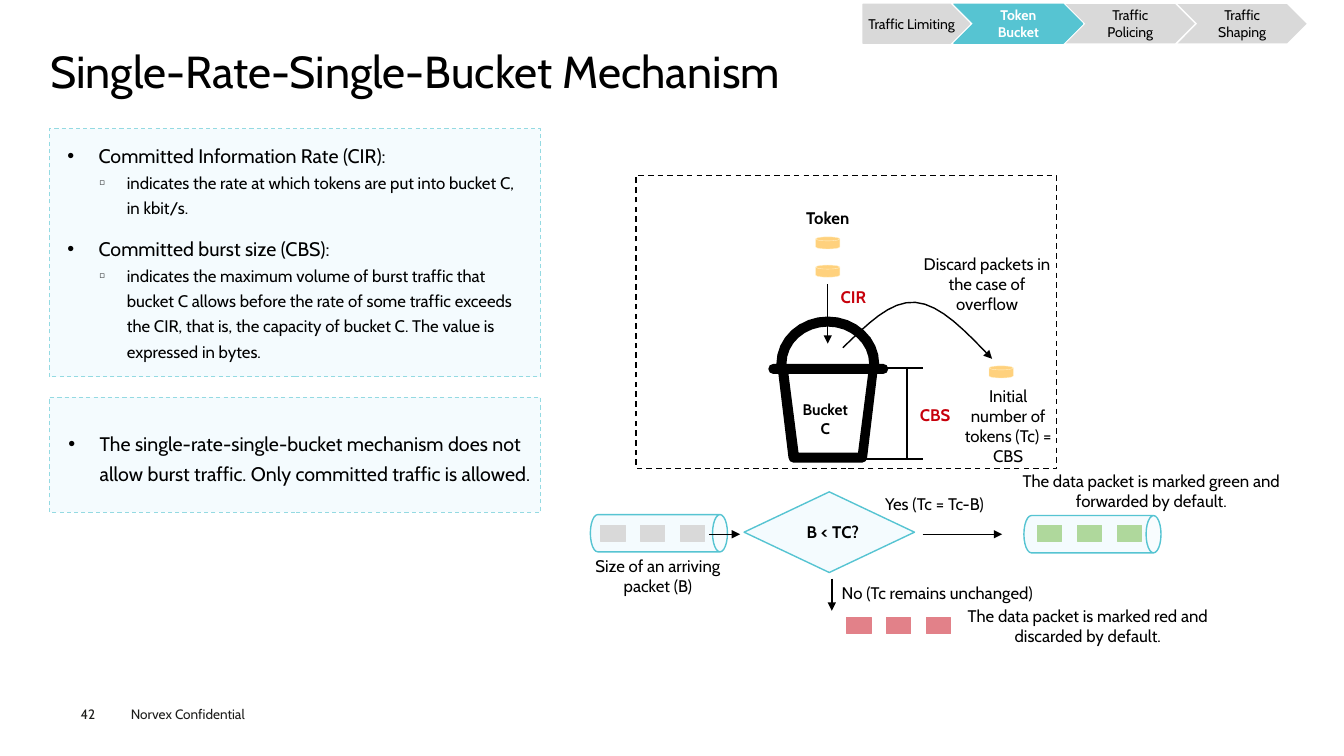
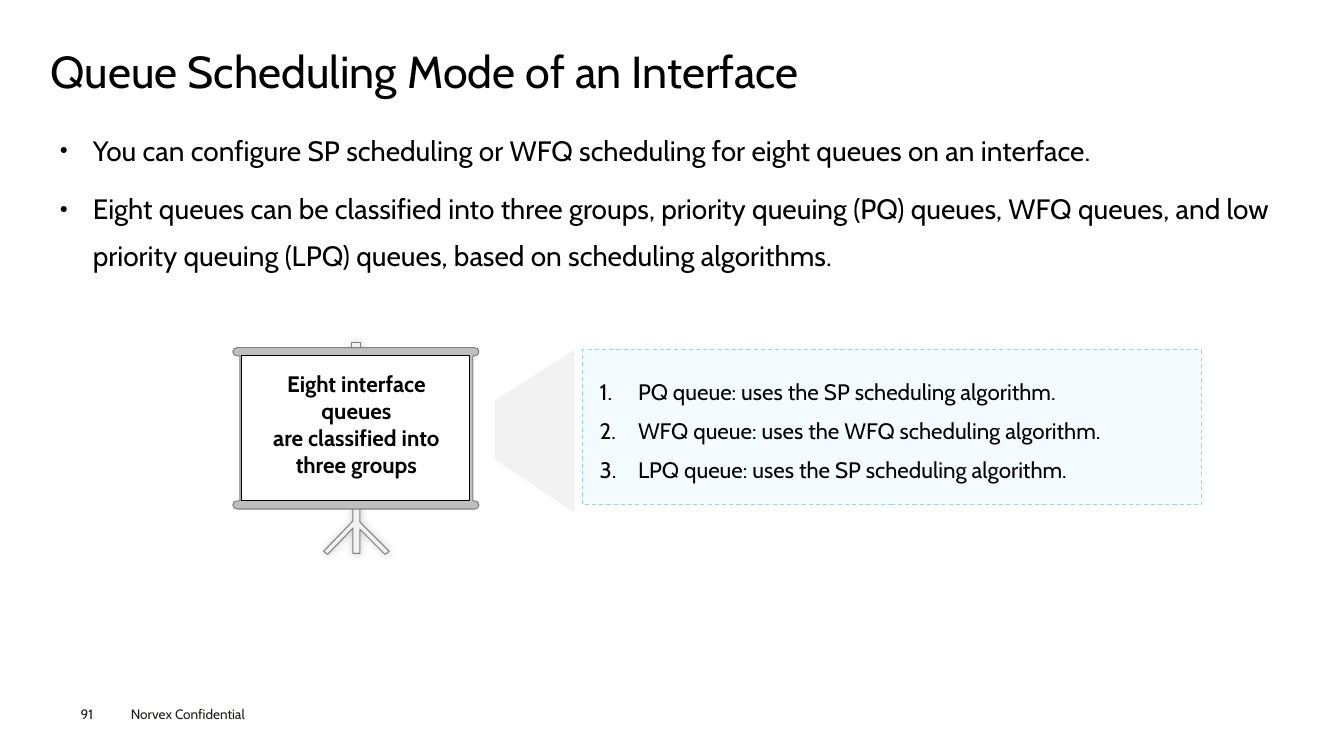
import math
from dataclasses import dataclass

import pptx
import pptx.dml.color
import pptx.enum.dml
import pptx.enum.shapes
import pptx.enum.text
import pptx.oxml
import pptx.oxml.ns
import pptx.util

Inches = pptx.util.Inches
Pt = pptx.util.Pt
RGBColor = pptx.dml.color.RGBColor
Align = pptx.enum.text.PP_ALIGN
Anchor = pptx.enum.text.MSO_ANCHOR
Kind = pptx.enum.shapes.MSO_SHAPE
qn = pptx.oxml.ns.qn

FONT = "Cabin"
BULLET_FONT = "Arial"
BLACK = RGBColor(0x00, 0x00, 0x00)
WHITE = RGBColor(0xFF, 0xFF, 0xFF)
INK = RGBColor(0x1D, 0x1D, 0x1B)
RED = RGBColor(0xC7, 0x00, 0x0B)
TEAL = RGBColor(0x56, 0xC4, 0xD2)
PALE = RGBColor(0xF4, 0xFB, 0xFE)
PANEL_EDGE = RGBColor(0x94, 0xDA, 0xE2)
GRAY = RGBColor(0xD9, 0xD9, 0xD9)
GREEN = RGBColor(0xAF, 0xD8, 0x9C)
PINK = RGBColor(0xE2, 0x81, 0x89)
GOLD = RGBColor(0xFF, 0xD1, 0x7D)
CREAM = RGBColor(0xFF, 0xF2, 0xCC)
LIGHT = RGBColor(0xF2, 0xF2, 0xF2)
FRAME = RGBColor(0xBF, 0xBF, 0xBF)
OUTLINE = RGBColor(0x80, 0x80, 0x80)

DEFAULT_INSETS = (0.1, 0.05, 0.1, 0.05)
NO_INSETS = (0, 0, 0, 0)

Point = tuple[float, float]
Area = tuple[float, float, float, float]


@dataclass(frozen=True)
class Style:
    size: float = 12
    color: RGBColor = BLACK
    bold: bool = False
    align: Align = Align.CENTER
    anchor: Anchor = Anchor.MIDDLE
    insets: Area = DEFAULT_INSETS
    wrap: bool = True
    spacing: float = 1.0


@dataclass(frozen=True)
class Label:
    text: str
    area: Area
    style: Style = Style()


@dataclass(frozen=True)
class Bullet:
    mark: str
    left: float
    hang: float
    size: float
    spacing: float = 1.25
    percent: int = 100
    before: float = 0
    after: float = 0


@dataclass(frozen=True)
class Step:
    text: str
    left: float
    width: float
    kind: Kind = Kind.CHEVRON
    active: bool = False
    insets: Area = DEFAULT_INSETS


@dataclass(frozen=True)
class Arrow:
    start: Point
    end: Point
    width: float = 1
    head: bool = True


LOOSE_LEFT = Style(wrap=False, align=Align.LEFT)
BOLD = Style(bold=True, wrap=False)
BOLD_RED = Style(bold=True, wrap=False, color=RED)
TITLE = Style(size=32, align=Align.LEFT, anchor=Anchor.TOP, insets=NO_INSETS, spacing=0.9)
FOOTER = Style(size=9.7, color=INK, align=Align.LEFT, anchor=Anchor.TOP)
NUMBER = Style(size=9.7, color=INK, align=Align.LEFT, anchor=Anchor.TOP, insets=NO_INSETS)

TOPIC = Bullet("•", 0.31, 0.31, 14)
DETAIL = Bullet("◻", 0.59, 0.27, 12, percent=50)
BODY = Bullet("●", 0.33, 0.33, 20, spacing=1.4, percent=50, before=7.9)
NUMBERED = Bullet("", 0.38, 0.38, 16, before=2, after=2)

STEPS = [
    Step("Traffic Limiting", 8.56, 1.06, Kind.PENTAGON, insets=(0.04, 0, 0.04, 0)),
    Step("Token Bucket", 9.46, 1.28, active=True),
    Step("Traffic Policing", 10.57, 1.28),
    Step("Traffic Shaping", 11.68, 1.28),
]

BUCKET_LABELS = [
    Label("B < TC?", (7.82, 5.11, 0.88, 0.33), BOLD),
    Label("Size of an arriving packet (B)", (5.65, 5.46, 1.75, 0.5)),
    Label("Yes (Tc = Tc-B)", (8.68, 4.83, 1.78, 0.33), LOOSE_LEFT),
    Label("No (Tc remains unchanged)", (8.25, 5.72, 2.7, 0.33), LOOSE_LEFT),
    Label("Token", (7.82, 2, 0.78, 0.33), BOLD),
    Label("CIR", (8.21, 2.78, 0.51, 0.33), BOLD_RED),
    Label("CBS", (9, 3.95, 0.55, 0.33), BOLD_RED),
    Label("Bucket C", (7.81, 3.99, 0.75, 0.33), Style(size=11, bold=True)),
    Label("Initial number of tokens (Tc) = CBS", (9.42, 4.06, 1.16, 0.33)),
    Label("Discard packets in the case of overflow", (9.05, 2.65, 1.48, 0.33)),
    Label("The data packet is marked red and discarded by default.", (9.44, 5.96, 2.7, 0.5)),
    Label("The data packet is marked green and forwarded by default.", (10.03, 4.62, 2.78, 0.5)),
]

ARROWS = [
    Arrow((7.03, 5.3), (7.34, 5.3)),
    Arrow((9.15, 5.3), (9.94, 5.3)),
    Arrow((8.25, 5.74), (8.25, 6.06)),
    Arrow((8.21, 2.82), (8.21, 3.41)),
    Arrow((9, 4.55), (9, 3.65), 1.5, False),
    Arrow((8.56, 4.55), (9.15, 4.55), 1.5, False),
    Arrow((8.56, 3.65), (9.15, 3.65), 1.5, False),
]


def lengths(values: tuple[float, ...]) -> list[int]:
    return [Inches(value) for value in values]


def child(parent, tag: str, **attributes: str):
    element = parent.makeelement(qn(tag), attributes)
    parent.append(element)
    return element


def paint(shape, fill=None, edge=None, width: float = 0.75, dashed: bool = False) -> None:
    shape.shadow.inherit = False
    if fill is None:
        shape.fill.background()
    else:
        shape.fill.solid()
        shape.fill.fore_color.rgb = fill
    if edge is None:
        shape.line.fill.background()
        return
    shape.line.color.rgb = edge
    shape.line.width = Pt(width)
    if dashed:
        shape.line.dash_style = pptx.enum.dml.MSO_LINE.DASH


def add_shape(page, kind: Kind, area: Area, fill=None, edge=None, width: float = 0.75, dashed: bool = False):
    shape = page.shapes.add_shape(kind, *lengths(area))
    paint(shape, fill, edge, width, dashed)
    return shape


def format_spans(para, size: float, color: RGBColor, bold: bool = False) -> None:
    for span in para.runs:
        span.font.name = FONT
        span.font.size = Pt(size)
        span.font.bold = bold
        span.font.color.rgb = color


def set_frame(frame, anchor: Anchor, insets: Area, wrap: bool = True) -> None:
    frame.word_wrap = wrap
    frame.vertical_anchor = anchor
    frame.margin_left, frame.margin_top, frame.margin_right, frame.margin_bottom = lengths(insets)


def write(box, text: str, style: Style) -> None:
    frame = box.text_frame
    frame.text = text
    set_frame(frame, style.anchor, style.insets, style.wrap)
    for para in frame.paragraphs:
        para.alignment = style.align
        para.line_spacing = style.spacing
        format_spans(para, style.size, style.color, style.bold)


def add_label(page, label: Label) -> None:
    write(page.shapes.add_textbox(*lengths(label.area)), label.text, label.style)


def add_bullets(page, area: Area, items: list[tuple[str, Bullet]],
                anchor: Anchor = Anchor.MIDDLE, insets: Area = DEFAULT_INSETS) -> None:
    frame = page.shapes.add_textbox(*lengths(area)).text_frame
    frame.text = "\n".join(text for text, _ in items)
    set_frame(frame, anchor, insets)
    for index, (para, (_, bullet)) in enumerate(zip(frame.paragraphs, items)):
        properties = para._p.get_or_add_pPr()
        properties.set("marL", str(Inches(bullet.left)))
        properties.set("indent", str(-Inches(bullet.hang)))
        child(properties, "a:buSzPct", val=str(bullet.percent * 1000))
        if bullet.mark:
            child(properties, "a:buFont", typeface=BULLET_FONT)
            child(properties, "a:buChar", char=bullet.mark)
        else:
            child(properties, "a:buAutoNum", type="arabicPeriod")
        para.line_spacing = bullet.spacing
        para.space_before = Pt(bullet.before if index else 0)
        para.space_after = Pt(bullet.after)
        format_spans(para, bullet.size, BLACK)


def arc(center: Point, radii: Point, start: int, end: int, count: int = 4) -> list[Point]:
    angles = [math.radians(start + (end - start) * step / count) for step in range(count + 1)]
    return [(center[0] + radii[0] * math.cos(a), center[1] + radii[1] * math.sin(a)) for a in angles]


def curve(a: Point, b: Point, c: Point, d: Point, count: int = 8) -> list[Point]:
    times = [step / count for step in range(count + 1)]
    return [tuple((1 - t) ** 3 * a[k] + 3 * t * (1 - t) ** 2 * b[k] + 3 * t * t * (1 - t) * c[k] + t ** 3 * d[k]
                  for k in (0, 1)) for t in times]


def add_outline(page, contours: list[list[Point]], fill=None, edge=None, width: float = 0.75, close: bool = True):
    first, *others = [[lengths(point) for point in contour] for contour in contours]
    builder = page.shapes.build_freeform(*first[0])
    builder.add_line_segments(first[1:], close=close)
    for contour in others:
        builder.move_to(*contour[0])
        builder.add_line_segments(contour[1:], close=close)
    shape = builder.convert_to_shape()
    paint(shape, fill, edge, width)
    return shape


def add_head(shape) -> None:
    child(shape.element.spPr.find(qn("a:ln")), "a:tailEnd", type="triangle")


def add_arrow(page, arrow: Arrow) -> None:
    line = page.shapes.add_connector(
        pptx.enum.shapes.MSO_CONNECTOR.STRAIGHT, *lengths(arrow.start + arrow.end))
    line.line.color.rgb = BLACK
    line.line.width = Pt(arrow.width)
    if arrow.head:
        add_head(line)
    child(line.element.spPr, "a:effectLst")


def add_panel(page, area: Area) -> None:
    add_shape(page, Kind.RECTANGLE, area, PALE, PANEL_EDGE, dashed=True)


def add_packets(page, left: float, top: float, color: RGBColor) -> None:
    for index in range(3):
        add_shape(page, Kind.RECTANGLE, (left + 0.395 * index, top, 0.24, 0.16), color, color)


def add_step(page, step: Step) -> None:
    fill = TEAL if step.active else GRAY
    edge = fill if step.active or step.kind == Kind.PENTAGON else None
    shape = add_shape(page, step.kind, (step.left, 0.04, step.width, 0.39), fill, edge)
    color = WHITE if step.active else BLACK
    write(shape, step.text, Style(size=10, color=color, bold=step.active, insets=step.insets))


def add_page(deck, title: str, number: str):
    page = deck.slides.add_slide(deck.slide_layouts[6])
    add_label(page, Label("Norvex Confidential", (1.2, 6.95, 1.6, 0.27), FOOTER))
    add_label(page, Label(number, (0.8, 7, 0.55, 0.16), NUMBER))
    add_label(page, Label(title, (0.5, 0.49, 12.33, 0.53), TITLE))
    return page


def draw_bucket(page) -> None:
    rim, dome = (0.05, 0.05), (8.21, 3.61)
    shell = (arc(dome, (0.51, 0.47), 360, 180, 16) + arc((7.67, 3.66), rim, 270, 90)
             + [(7.72, 3.71)] + arc((7.87, 4.54), rim, 180, 90, 2) + arc((8.55, 4.54), rim, 90, 0, 2)
             + [(8.7, 3.71)] + arc((8.76, 3.66), rim, 90, -90))
    cup = [(8.51, 4.49), (7.92, 4.49), (7.82, 3.71), (8.61, 3.71)]
    add_outline(page, [shell, cup, arc(dome, (0.41, 0.37), 180, 360, 16)], BLACK)


def build_bucket_page(deck) -> None:
    page = add_page(deck, "Single-Rate-Single-Bucket Mechanism", "42")
    for left, top in ((10.65, 4.62), (6.35, 4.61)):
        pipe = add_shape(page, Kind.CAN, (left, top, 0.37, 1.36), PALE, TEAL, 1)
        pipe.adjustments[0] = 0.4
        pipe.rotation = 90
    add_shape(page, Kind.FLOWCHART_DECISION, (7.38, 4.88, 1.69, 0.8), PALE, TEAL, 1)
    for left, top, color in ((5.96, 5.21, GRAY), (10.29, 5.21, GREEN), (8.4, 6.13, PINK)):
        add_packets(page, left, top, color)
    draw_bucket(page)
    for arrow in ARROWS:
        add_arrow(page, arrow)
    overflow = (curve((8.36, 3.45), (8.6, 3.22), (8.83, 2.98), (9.08, 3))
                + curve((9.08, 3), (9.33, 3.02), (9.58, 3.29), (9.84, 3.56))[1:])
    add_head(add_outline(page, [overflow], edge=BLACK, width=1, close=False))
    for label in BUCKET_LABELS:
        add_label(page, label)
    add_panel(page, (0.49, 1.28, 4.87, 2.46))
    add_bullets(page, (0.57, 1.32, 4.68, 0.9), [
        ("Committed Information Rate (CIR):", TOPIC),
        ("indicates the rate at which tokens are put into bucket C, in kbit/s.", DETAIL)])
    add_bullets(page, (0.57, 2.24, 4.79, 1.4), [
        ("Committed burst size (CBS):", TOPIC),
        ("indicates the maximum volume of burst traffic that bucket C allows before the rate of some traffic "
         "exceeds the CIR, that is, the capacity of bucket C. The value is expressed in bytes.", DETAIL)])
    add_panel(page, (0.49, 3.94, 4.87, 1.14))
    add_bullets(page, (0.58, 4.03, 4.79, 0.98), [
        ("The single-rate-single-bucket mechanism does not allow burst traffic. "
         "Only committed traffic is allowed.", TOPIC)])
    for left, top in ((8.09, 2.63), (8.09, 2.35), (9.81, 3.63)):
        add_shape(page, Kind.FLOWCHART_MAGNETIC_DISK, (left, top, 0.24, 0.12), GOLD, CREAM, 0.25)
    add_shape(page, Kind.RECTANGLE, (6.31, 1.74, 4.17, 2.91), edge=BLACK, width=1, dashed=True)
    for step in STEPS:
        add_step(page, step)


def draw_screen(page) -> None:
    peg = [(3.49, 3.4), (3.58, 3.4), (3.58, 3.51), (3.49, 3.51)]
    legs = [(3.5, 4.87), (3.57, 4.87), (3.57, 5.18), (3.86, 5.47), (3.82, 5.5), (3.57, 5.25),
            (3.57, 5.49), (3.5, 5.49), (3.5, 5.24), (3.25, 5.5), (3.21, 5.47), (3.5, 5.17)]
    stand = add_outline(page, [peg, legs], LIGHT, OUTLINE)
    shadow = child(stand.element.spPr.find(qn("a:effectLst")), "a:outerShdw",
                   blurRad=str(Pt(6)), dist="0", dir="13500000", algn="br", rotWithShape="0")
    child(child(shadow, "a:srgbClr", val=str(BLACK)), "a:alpha", val="20000")
    cap = (0.04, 0.04)
    frame = (arc((4.71, 3.49), cap, -90, 90) + [(4.69, 3.53), (4.69, 4.97)]
             + arc((4.71, 5.01), cap, -90, 90) + arc((2.35, 5.01), cap, 90, 270)
             + [(2.38, 4.97), (2.38, 3.53)] + arc((2.35, 3.49), cap, 90, 270))
    add_outline(page, [frame], FRAME, OUTLINE)
    add_shape(page, Kind.RECTANGLE, (2.4, 3.53, 2.26, 1.44), WHITE, BLACK)


def build_queue_page(deck) -> None:
    page = add_page(deck, "Queue Scheduling Mode of an Interface", "91")
    add_bullets(page, (0.5, 1.15, 12.35, 5.33), [
        ("You can configure SP scheduling or WFQ scheduling for eight queues on an interface.", BODY),
        ("Eight queues can be classified into three groups, priority queuing (PQ) queues, WFQ queues, "
         "and low priority queuing (LPQ) queues, based on scheduling algorithms.", BODY),
    ], Anchor.TOP, (0.09, 0.04, 0.09, 0.04))
    add_panel(page, (5.78, 3.47, 6.14, 1.54))
    queues = (("PQ", "SP"), ("WFQ", "WFQ"), ("LPQ", "SP"))
    add_bullets(page, (5.85, 3.63, 5.76, 1.22), [
        (f"{queue} queue: uses the {mode} scheduling algorithm.", NUMBERED) for queue, mode in queues])
    add_outline(page, [[(5.7, 5.09), (4.91, 4.56), (4.91, 3.97), (5.7, 3.47)]], LIGHT)
    draw_screen(page)
    add_label(page, Label("Eight interface queues\nare classified into three groups",
                          (2.43, 3.83, 2.21, 0.75), Style(size=16, bold=True)))


def main() -> None:
    deck = pptx.Presentation()
    deck.slide_width, deck.slide_height = Inches(13.33), Inches(7.5)
    build_bucket_page(deck)
    build_queue_page(deck)
    deck.save("out.pptx")


if __name__ == "__main__":
    main()
